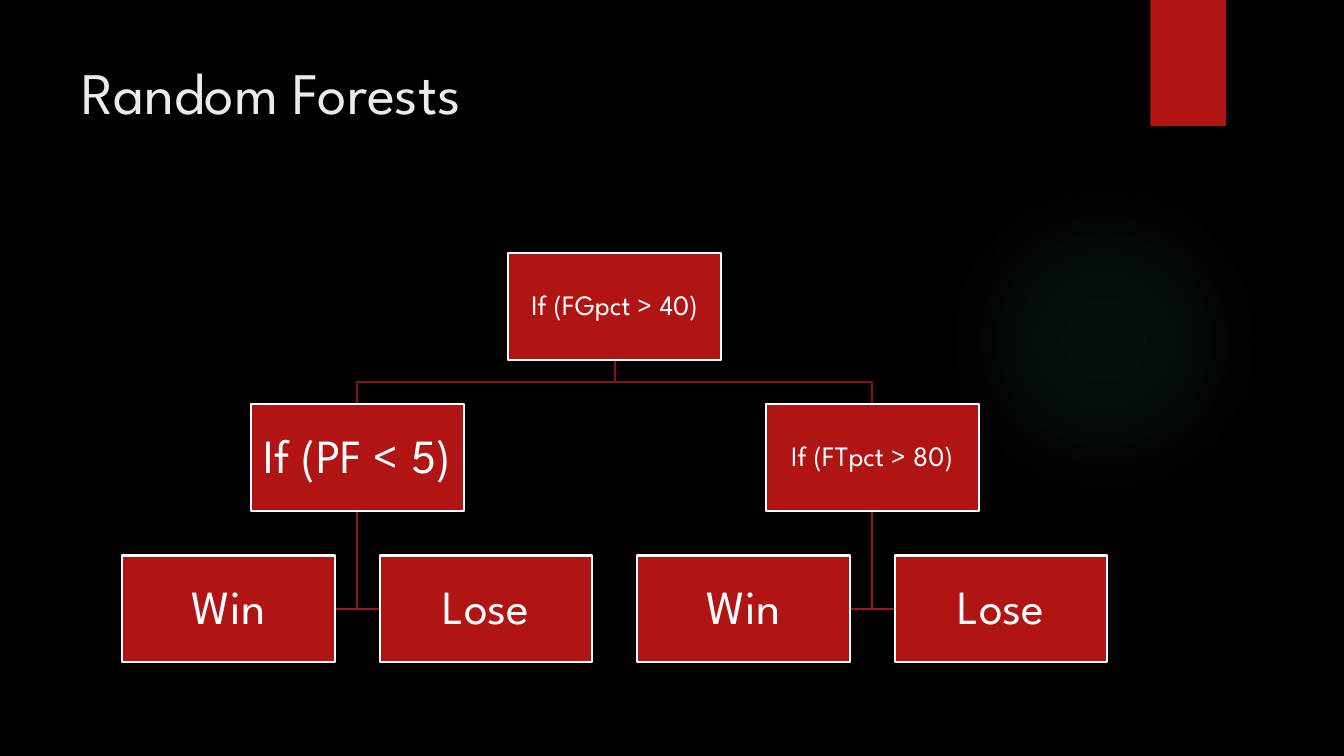
"""Build the Random Forests slide: a small decision tree on black."""
from lxml.etree import fromstring
from pptx import Presentation
from pptx.dml.color import RGBColor
from pptx.enum.shapes import MSO_SHAPE
from pptx.enum.text import MSO_ANCHOR, PP_ALIGN
from pptx.util import Pt

FONT = "League Spartan"
RED, WHITE = "B01513", "FFFFFF"
TITLE = "Random Forests"
NODES = {
    "root": ("If (FGpct > 40)", 20, 1.5, 0),
    "left": ("If (PF < 5)", 34, 0.5, 1),
    "right": ("If (FTpct > 80)", 20, 2.5, 1),
    "win1": ("Win", 34, 0, 2),
    "lose1": ("Lose", 34, 1, 2),
    "win2": ("Win", 34, 2, 2),
    "lose2": ("Lose", 34, 3, 2),
}
LINKS = [("right", "lose2"), ("right", "win2"), ("root", "right"),
         ("left", "lose1"), ("left", "win1"), ("root", "left")]
LINES = ["8D110F", "A01311"]
WIDE, HIGH = 152, 76.3
LEFT, TOP = 163.2, 180.8
STEP, DROP = 183.95, 108
GLOW = [(0, 7), (36, 6), (69, 0)]
NS = "http://schemas.openxmlformats.org/drawingml/2006/main"


def rgb(code):
    return RGBColor.from_string(code)


def paint(shape, fill, line=None):
    shape.shadow.inherit = False
    if fill:
        shape.fill.solid()
        shape.fill.fore_color.rgb = rgb(fill)
    else:
        shape.fill.background()
    if line:
        shape.line.color.rgb = rgb(line)
        shape.line.width = Pt(1.5)
    else:
        shape.line.fill.background()


def write(shape, text, size, color, inset=None):
    frame = shape.text_frame
    frame.word_wrap = True
    if inset is not None:
        frame.margin_left = frame.margin_right = Pt(inset)
        frame.margin_top = frame.margin_bottom = Pt(inset)
    para = frame.paragraphs[0]
    para.text = text
    para.font.name = FONT
    para.font.size = Pt(size)
    para.font.color.rgb = rgb(color)
    return frame, para


def glow(shapes):
    disc = shapes.add_shape(MSO_SHAPE.OVAL, Pt(677.5), Pt(131.8), Pt(221.8), Pt(221.8))
    paint(disc, "50B9C1")
    stops = "".join(
        f'<a:gs pos="{at * 1000}"><a:srgbClr val="50B9C1">'
        f'<a:alpha val="{alpha * 1000}"/></a:srgbClr></a:gs>'
        for at, alpha in GLOW)
    grad = fromstring(
        f'<a:gradFill xmlns:a="{NS}"><a:gsLst>{stops}</a:gsLst><a:path path="circle">'
        '<a:fillToRect l="50000" t="50000" r="50000" b="50000"/></a:path></a:gradFill>')
    props = disc.element.spPr
    props.replace(props.find(f"{{{NS}}}solidFill"), grad)


def spot(name):
    col, row = NODES[name][2:]
    return LEFT + col * STEP, TOP + row * DROP


def link(shapes, head, tail):
    row = NODES[head][3]
    (x, y), (end, top) = spot(head), spot(tail)
    y += HIGH
    if row == 0:
        mid = (y + top) / 2
        route = [(x, mid), (end, mid), (end, top)]
    else:
        mid = top + HIGH / 2
        side = WIDE / 2 if end < x else -WIDE / 2
        route = [(x, mid), (end + side, mid)]
    pen = shapes.build_freeform(Pt(x), Pt(y))
    pen.add_line_segments([(Pt(a), Pt(b)) for a, b in route], close=False)
    paint(pen.convert_to_shape(), None, LINES[row])


def node(shapes, name):
    text, size = NODES[name][:2]
    x, y = spot(name)
    box = shapes.add_shape(MSO_SHAPE.RECTANGLE, Pt(x - WIDE / 2), Pt(y), Pt(WIDE), Pt(HIGH))
    paint(box, RED, WHITE)
    frame, para = write(box, text, size, WHITE, 1)
    frame.vertical_anchor = MSO_ANCHOR.MIDDLE
    para.alignment = PP_ALIGN.CENTER
    para.line_spacing = 0.9


def main():
    deck = Presentation()
    deck.slide_width, deck.slide_height = Pt(960), Pt(540)
    slide = deck.slides.add_slide(deck.slide_layouts[6])
    slide.background.fill.solid()
    slide.background.fill.fore_color.rgb = rgb("000000")
    shapes = slide.shapes
    glow(shapes)
    tab = shapes.add_shape(MSO_SHAPE.RECTANGLE, Pt(821.8), Pt(0), Pt(54), Pt(90))
    paint(tab, RED)
    title = shapes.add_textbox(Pt(51), Pt(36), Pt(741), Pt(110))
    write(title, TITLE, 42, "EBEBEB")
    for head, tail in LINKS:
        link(shapes, head, tail)
    for name in NODES:
        node(shapes, name)
    deck.save("out.pptx")


if __name__ == "__main__":
    main()
